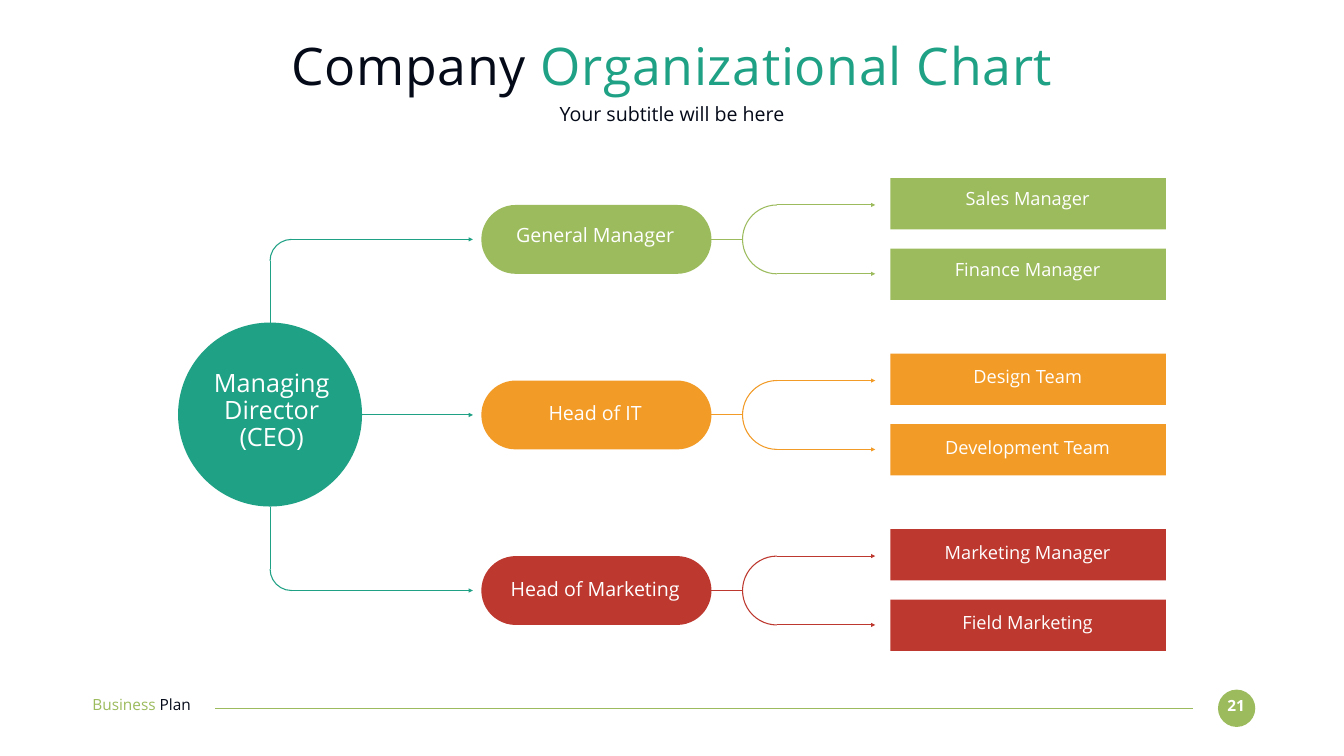
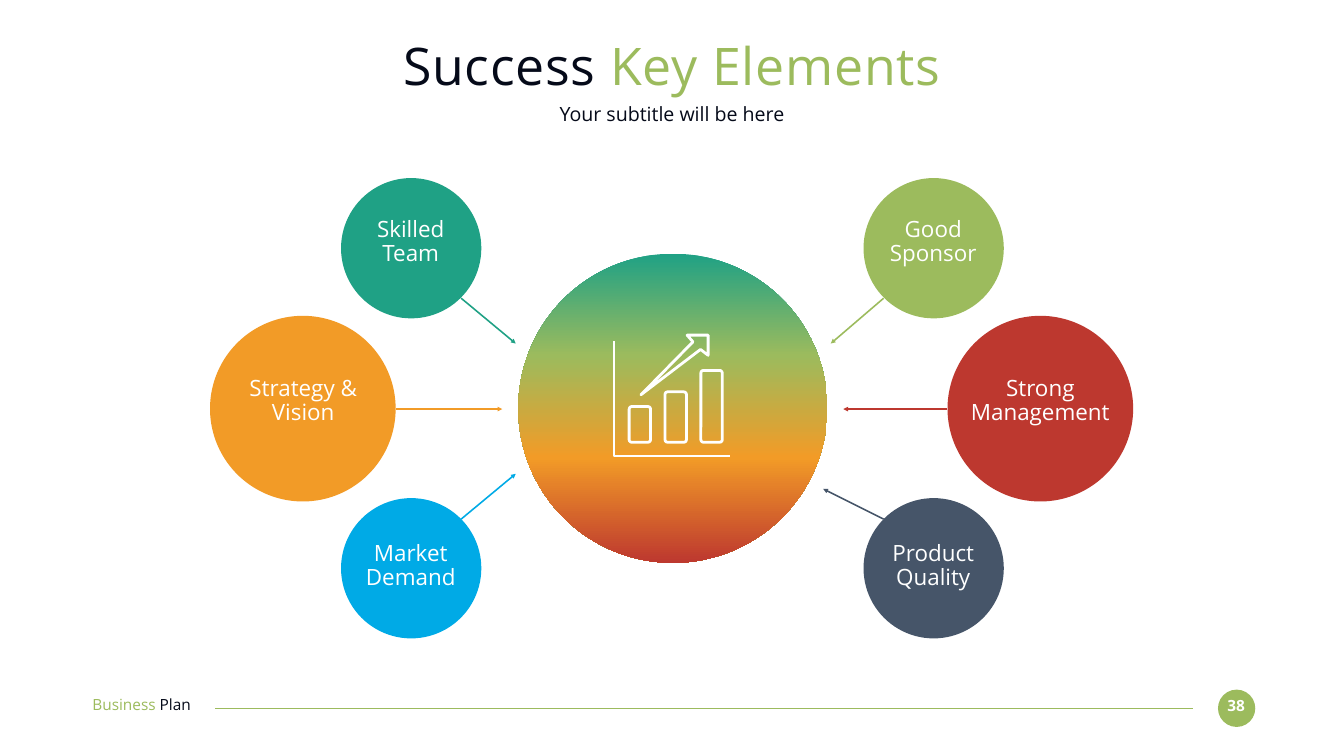
"""Build the organizational chart and success elements slides of a business plan."""
from lxml import etree
from pptx import Presentation
from pptx import util as u
from pptx.dml import color
from pptx.enum import shapes, text
from pptx.oxml import ns

HUES = {
    "ink": "050A19", "white": "FFFFFF", "teal": "1FA185", "green": "9CBB5D",
    "orange": "F29B27", "red": "BD382F", "blue": "00AAE6", "slate": "465569",
}
RGB = {hue: color.RGBColor.from_string(code) for hue, code in HUES.items()}
KIND = shapes.MSO_SHAPE
CENTER, LEFT = text.PP_ALIGN.CENTER, text.PP_ALIGN.LEFT

deck = Presentation()
deck.slide_width, deck.slide_height = u.Inches(26.67), u.Inches(15)
COL, ROW = deck.slide_width / 160, deck.slide_height / 90


def draw(page, kind, box, fill=None, line=None, width=1.5):
    """Add a preset shape to a box given in columns and rows."""
    x, y, w, h = box
    part = page.shapes.add_shape(kind, *map(round, (x * COL, y * ROW, w * COL, h * ROW)))
    part.shadow.inherit = False
    for paint, hue in ((part.fill, fill), (part.line.fill, line)):
        if hue:
            paint.solid()
            paint.fore_color.rgb = RGB[hue]
        else:
            paint.background()
    if line:
        part.line.width = u.Pt(width)
    return part


def write(frame, paragraphs, size, align=CENTER, bold=False, anchor=text.MSO_ANCHOR.TOP,
          auto_size=text.MSO_AUTO_SIZE.SHAPE_TO_FIT_TEXT):
    """Fill a text frame with paragraphs, each a list of (words, hue)."""
    frame_format = {"margin_left": 0, "margin_right": 0, "margin_top": 0, "margin_bottom": 0,
                    "word_wrap": True, "vertical_anchor": anchor, "auto_size": auto_size}
    for name, value in frame_format.items():
        setattr(frame, name, value)
    for index, runs in enumerate(paragraphs):
        paragraph = frame.add_paragraph() if index else frame.paragraphs[0]
        for name, value in {"alignment": align, "line_spacing": 0.9, "space_before": u.Pt(0)}.items():
            setattr(paragraph, name, value)
        for words, hue in runs:
            run = paragraph.add_run()
            run.text = words
            for name, value in {"name": "Open Sans", "size": u.Pt(size), "bold": bold}.items():
                setattr(run.font, name, value)
            run.font.color.rgb = RGB[hue]


pages, labels, strokes = [], [], []

headings = [("Company ", "Organizational Chart", "teal", "21"),
            ("Success ", "Key Elements", "green", "38")]
for opening, ending, accent, number in headings:
    page = deck.slides.add_slide(deck.slide_layouts[1])
    pages.append(page)
    title, subtitle = page.placeholders
    for holder, y, h in ((title, 4.4, 7.6), (subtitle, 12.2, 2.9)):
        place = {"left": 11 * COL, "top": y * ROW, "width": 138 * COL, "height": h * ROW}
        for name, value in place.items():
            setattr(holder, name, round(value))
    subtitle_rules = subtitle.text_frame.paragraphs[0]._p.get_or_add_pPr()
    subtitle_rules.set("marL", "0")
    subtitle_rules.set("indent", "0")
    etree.SubElement(subtitle_rules, ns.qn("a:buNone"))
    fixed = {"anchor": text.MSO_ANCHOR.MIDDLE, "auto_size": text.MSO_AUTO_SIZE.NONE}
    write(title.text_frame, [[(opening, "ink"), (ending, accent)]], 74, **fixed)
    for run in title.text_frame.paragraphs[0].runs:
        run.font._element.set("spc", "100")
    write(subtitle.text_frame, [[("Your subtitle will be here", "ink")]], 28, **fixed)

    draw(page, KIND.OVAL, (145, 82.1, 4.44, 4.44), "green")
    strokes.append((page, (142, 84.3), (25.6, 84.3), "green", 1.5, None, None))
    labels += [
        (page, (145.4, 83.1, 3.54, 2.2), [[(number, "white")]], {"size": 22, "bold": True}),
        (page, (11, 83.04, 15.5, 2.2), [[("Business ", "green"), ("Plan", "ink")]],
         {"size": 22, "align": LEFT}),
    ]

chart, elements = pages

HUB_X, HUB_Y, HUB = 21.2, 38.4, 21.9
PILL_X, PILL_Y, PILL_W, PILL_H, PITCH = 57.3, 24.4, 27.4, 8.2, 20.9
FORK_X, TEAM_X, BEND = 88.4, 106, 5.1
hub_mid = HUB_X + HUB / 2
draw(chart, KIND.OVAL, (HUB_X, HUB_Y, HUB, HUB), "teal")
labels.append((chart, (22.3, 44.1, 20.1, 10.9),
               [[("Managing Director", "white")], [("(CEO)", "white")]], {"size": 36}))

branches = [
    ("General Manager", "green", 1.4, ("Sales Manager", "Finance Manager")),
    ("Head of IT", "orange", 1.7, ("Design Team", "Development Team")),
    ("Head of Marketing", "red", 1.7, ("Marketing Manager", "Field Marketing")),
]
for row, (leader, hue, drop, teams) in enumerate(branches):
    top = PILL_Y + row * PITCH
    middle = top + PILL_H / 2
    pill = draw(chart, KIND.ROUNDED_RECTANGLE, (PILL_X, top, PILL_W, PILL_H), hue)
    pill.adjustments[0] = 0.5
    labels.append((chart, (59.3, top + drop + 1.1, 23.1, 2.8), [[(leader, "white")]], {"size": 28}))
    fork = draw(chart, KIND.ARC, (FORK_X, top, PILL_H, PILL_H), line=hue)
    fork.adjustments[1] = 54
    fork._element.spPr.xfrm.set("flipH", "1")
    reach = HUB_X + HUB if row == 1 else 34.7
    strokes += [
        (chart, (56.3, middle), (reach, middle), "teal", 1.5, "headEnd", None),
        (chart, (PILL_X + PILL_W, middle), (FORK_X, middle), hue, 1.5, None, pill),
    ]
    for side, team in enumerate(teams):
        team_y = top - 3.2 + side * 8.4
        arm_y = top + side * PILL_H
        draw(chart, KIND.RECTANGLE, (TEAM_X, team_y, 32.8, 6.1), hue)
        labels.append((chart, (110.8, team_y + drop, 23.1, 2.64), [[(team, "white")]], {"size": 26}))
        strokes.append((chart, (104.2, arm_y), (FORK_X + PILL_H / 2, arm_y), hue, 1.5, "headEnd", None))

first_y = PILL_Y + PILL_H / 2
last_y = first_y + 2 * PITCH
upper_bend = draw(chart, KIND.ARC, (hub_mid, first_y, BEND, BEND), line="teal")
upper_bend._element.spPr.xfrm.set("flipH", "1")
lower_bend = draw(chart, KIND.ARC, (hub_mid, last_y - BEND, BEND, BEND), line="teal")
lower_bend.rotation = 180
strokes += [
    (chart, (hub_mid, HUB_Y), (hub_mid, first_y + BEND / 2), "teal", 1.5, None, None),
    (chart, (hub_mid, HUB_Y + HUB), (hub_mid, last_y - BEND / 2), "teal", 1.5, None, None),
]

SMALL, LARGE = 16.7, 22.1
factors = [
    (["Skilled Team"], "teal", (40.6, 21.2, SMALL), (42.2, 26, 13.4), (54.9, 35.5), (61.4, 40.9)),
    (["Strategy & Vision"], "orange", (25, 37.6, LARGE), (29.4, 44.9, 13.4), (47.2, 48.7), (59.8, 48.7)),
    (["Market Demand"], "blue", (40.6, 59.3, SMALL), (42.2, 64.5, 13.4), (54.9, 61.8), (61.4, 56.4)),
    (["Good Sponsor"], "green", (102.8, 21.2, SMALL), (104.4, 26, 13.4), (105.2, 35.5), (98.9, 40.9)),
    (["Strong", "Management"], "red", (112.8, 37.6, LARGE), (115.1, 44.9, 17.5), (112.8, 48.7), (100.4, 48.7)),
    (["Product Quality"], "slate", (102.8, 59.3, SMALL), (104.4, 64.5, 13.4), (105.2, 61.8), (98, 58.2)),
]
for words, hue, (x, y, size), caption, start, end in factors:
    draw(elements, KIND.OVAL, (x, y, size, size), hue)
    labels.append((elements, (*caption, 6.5), [[(line, "white")] for line in words], {"size": 32}))
    strokes.append((elements, start, end, hue, 2.25, "tailEnd", None))

success = draw(elements, KIND.OVAL, (61.7, 30.2, 36.8, 36.8), "teal")
success.fill.gradient()
success.fill.gradient_angle = 270
stops = success._element.spPr.find(".//" + ns.qn("a:gsLst"))
for stop in list(stops):
    stops.remove(stop)
for share, hue in ((0, "teal"), (33, "green"), (66, "orange"), (100, "red")):
    stop = etree.SubElement(stops, ns.qn("a:gs"), pos=str(share * 1000))
    etree.SubElement(stop, ns.qn("a:srgbClr"), val=HUES[hue])

for step, bar_top in enumerate((48.4, 46.65, 44.1)):
    bar = draw(elements, KIND.ROUNDED_RECTANGLE,
               (74.9 + step * 4.27, bar_top, 2.55, 52.65 - bar_top), line="white", width=4)
    bar.adjustments[0] = 0.12
axes = [(73.1, 40.6), (73.1, 54.3), (86.9, 54.3)]
growth = [(76.3, 47), (82.5, 40.7), (81.8, 39.9), (84.3, 39.9), (84.3, 42.3), (83.4, 41.6)]
for points, closed in ((axes, False), (growth, True)):
    corners = [(round(x * COL), round(y * ROW)) for x, y in points]
    builder = elements.shapes.build_freeform(*corners[0])
    builder.add_line_segments(corners[1:], close=closed)
    outline = builder.convert_to_shape()
    outline.shadow.inherit = False
    outline.fill.background()
    outline.line.color.rgb = RGB["white"]
    outline.line.width = u.Pt(4)

for page, (x1, y1), (x2, y2), hue, width, arrow, origin in strokes:
    stroke = page.shapes.add_connector(
        shapes.MSO_CONNECTOR.STRAIGHT, *map(round, (x1 * COL, y1 * ROW, x2 * COL, y2 * ROW)))
    stroke.line.color.rgb = RGB[hue]
    stroke.line.width = u.Pt(width)
    if arrow:
        etree.SubElement(stroke.line._get_or_add_ln(), ns.qn("a:" + arrow), type="triangle")
    etree.SubElement(stroke._element.spPr, ns.qn("a:effectLst"))
    if origin:
        stroke.begin_connect(origin, 3)

for page, (x, y, w, h), paragraphs, style in labels:
    label = page.shapes.add_textbox(*map(round, (x * COL, y * ROW, w * COL, h * ROW)))
    write(label.text_frame, paragraphs, **style)

deck.save("out.pptx")
